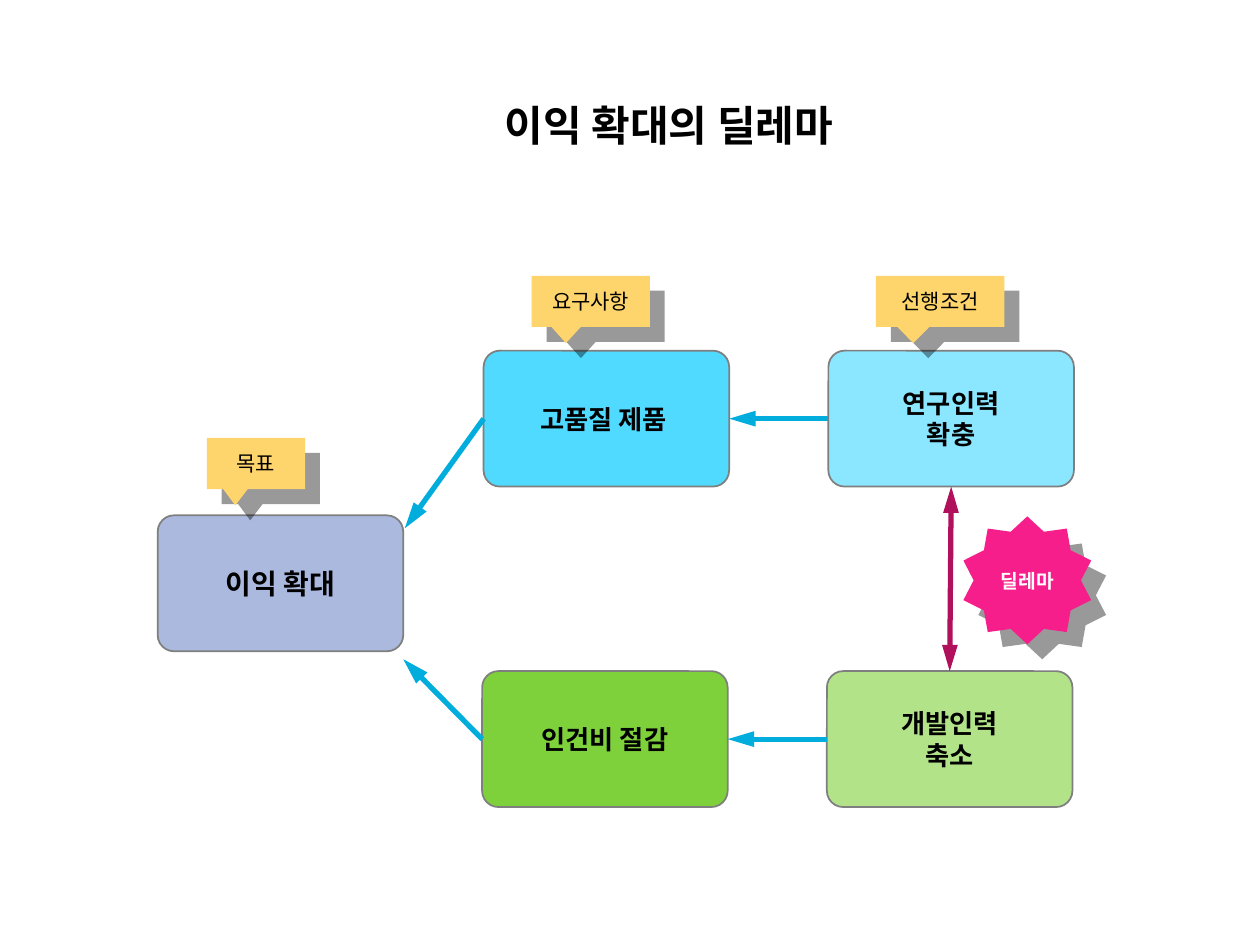
from math import cos, pi, sin

from lxml.etree import SubElement
from pptx import Presentation
from pptx.dml.color import RGBColor
from pptx.enum.shapes import MSO_CONNECTOR, MSO_SHAPE
from pptx.enum.text import MSO_ANCHOR, MSO_AUTO_SIZE, PP_ALIGN
from pptx.oxml.ns import qn
from pptx.util import Cm, Pt

FONT = "Noto Sans CJK KR"
TOP, LEFT, BOTTOM, RIGHT = range(4)


def color(value):
    return RGBColor.from_string(value)


class DilemmaSlide:
    """Holds the diagram style and the slide being drawn."""

    box_size = (4.95, 2.74)
    arrow_color = "00ADDC"

    def __init__(self, deck):
        self.slide = deck.slides.add_slide(deck.slide_layouts[5])
        self.shapes = self.slide.shapes

    def label(self, shape, text, size, bold=True, ink="000000", anchor=MSO_ANCHOR.MIDDLE):
        frame = shape.text_frame
        frame.text = text
        frame_format = {"word_wrap": True, "auto_size": MSO_AUTO_SIZE.NONE, "vertical_anchor": anchor}
        for name, value in frame_format.items():
            setattr(frame, name, value)
        for para in frame.paragraphs:
            para.alignment = PP_ALIGN.CENTER
            for span in para.runs:
                span.font.color.rgb = color(ink)
                for name, value in {"size": Pt(size), "bold": bold, "name": FONT}.items():
                    setattr(span.font, name, value)
                SubElement(span.font._element, qn("a:ea"), typeface=FONT)

    def paint(self, shape, fill, outline=None):
        shape.shadow.inherit = False
        shape.fill.solid()
        shape.fill.fore_color.rgb = color(fill)
        if outline:
            shape.line.color.rgb = color(outline)
            shape.line.width = Pt(1)
        else:
            shape.line.fill.background()

    def cast_shadow(self, shape):
        effects = shape._element.spPr.find(qn("a:effectLst"))
        shadow = SubElement(effects, qn("a:outerShdw"), blurRad="0", dist=str(Pt(12.1)),
                            dir="2700000", algn="tl", rotWithShape="0")
        tint = SubElement(shadow, qn("a:srgbClr"), val="000000")
        SubElement(tint, qn("a:alpha"), val="40000")

    def title(self, text, left, top, width, height):
        title = self.shapes.title
        place = {"left": left, "top": top, "width": width, "height": height}
        for name, value in place.items():
            setattr(title, name, Cm(value))
        self.label(title, text, 24, anchor=MSO_ANCHOR.TOP)

    def box(self, text, left, top, fill, size=15):
        box = self.shapes.add_shape(MSO_SHAPE.ROUNDED_RECTANGLE,
                                    *map(Cm, (left, top, *self.box_size)))
        box.adjustments[0] = 0.12
        self.paint(box, fill, "7F7F7F")
        self.label(box, text, size)
        return box

    def callout(self, text, left, top, width):
        callout = self.shapes.add_shape(MSO_SHAPE.RECTANGULAR_CALLOUT,
                                        *map(Cm, (left, top, width, 1.03)))
        callout.adjustments[0] = -0.21
        callout.adjustments[1] = 0.82
        self.paint(callout, "FED46C")
        self.cast_shadow(callout)
        self.label(callout, text, 12, bold=False)

    def burst(self, text, center_x, center_y, outer, inner, tips=10):
        corners = []
        for step in range(2 * tips):
            radius = inner if step % 2 else outer
            angle = step * pi / tips
            corners.append((Cm(center_x + 1.05 * radius * sin(angle)),
                            Cm(center_y - radius * cos(angle))))
        outline = self.shapes.build_freeform(*corners[0])
        outline.add_line_segments(corners[1:], close=True)
        burst = outline.convert_to_shape()
        self.paint(burst, "F61E8A")
        self.cast_shadow(burst)
        self.label(burst, text, 11, ink="FFFFFF")

    def arrow(self, source, source_side, target=None, target_side=None,
              point=(0, 0), ink=arrow_color, ends=("tailEnd",)):
        end_x, end_y = map(Cm, point)
        arrow = self.shapes.add_connector(MSO_CONNECTOR.STRAIGHT, 0, 0, end_x, end_y)
        arrow.begin_connect(source, source_side)
        if target is not None:
            arrow.end_connect(target, target_side)
        arrow.line.color.rgb = color(ink)
        arrow.line.width = Pt(3)
        for end in ends:
            SubElement(arrow.line._get_or_add_ln(), qn(f"a:{end}"),
                       type="triangle", w="med", len="lg")
        SubElement(arrow._element.spPr, qn("a:effectLst"))


def main():
    deck = Presentation()
    deck.slide_width, deck.slide_height = Cm(25.4), Cm(19.05)
    page = DilemmaSlide(deck)
    page.title("이익 확대의 딜레마", 6.93, 1.88, 13.11, 1.27)

    page.box("이익 확대", 3.18, 10.39, "ABB9DE", size=16)
    quality = page.box("고품질 제품 ", 9.75, 7.07, "51DAFF")
    savings = page.box("인건비 절감", 9.72, 13.53, "7FD13B")
    hiring = page.box("연구인력\v확충", 16.7, 7.07, "8BE6FF")
    layoffs = page.box("개발인력\n축소", 16.67, 13.53, "B2E389")

    page.arrow(hiring, LEFT, quality, RIGHT)
    page.arrow(layoffs, LEFT, savings, RIGHT)
    page.arrow(savings, LEFT, point=(8.13, 13.29))
    page.arrow(quality, LEFT, point=(8.16, 10.65))
    page.arrow(hiring, BOTTOM, layoffs, TOP, ink="B0105C", ends=("headEnd", "tailEnd"))

    page.burst("딜레마", 20.71, 11.7, 1.29, 1.03)
    for text, left, top, width in (
        ("목표", 4.17, 8.83, 1.98),
        ("요구사항", 10.72, 5.56, 2.38),
        ("선행조건", 17.66, 5.56, 2.59),
    ):
        page.callout(text, left, top, width)
    deck.save("out.pptx")


if __name__ == "__main__":
    main()
